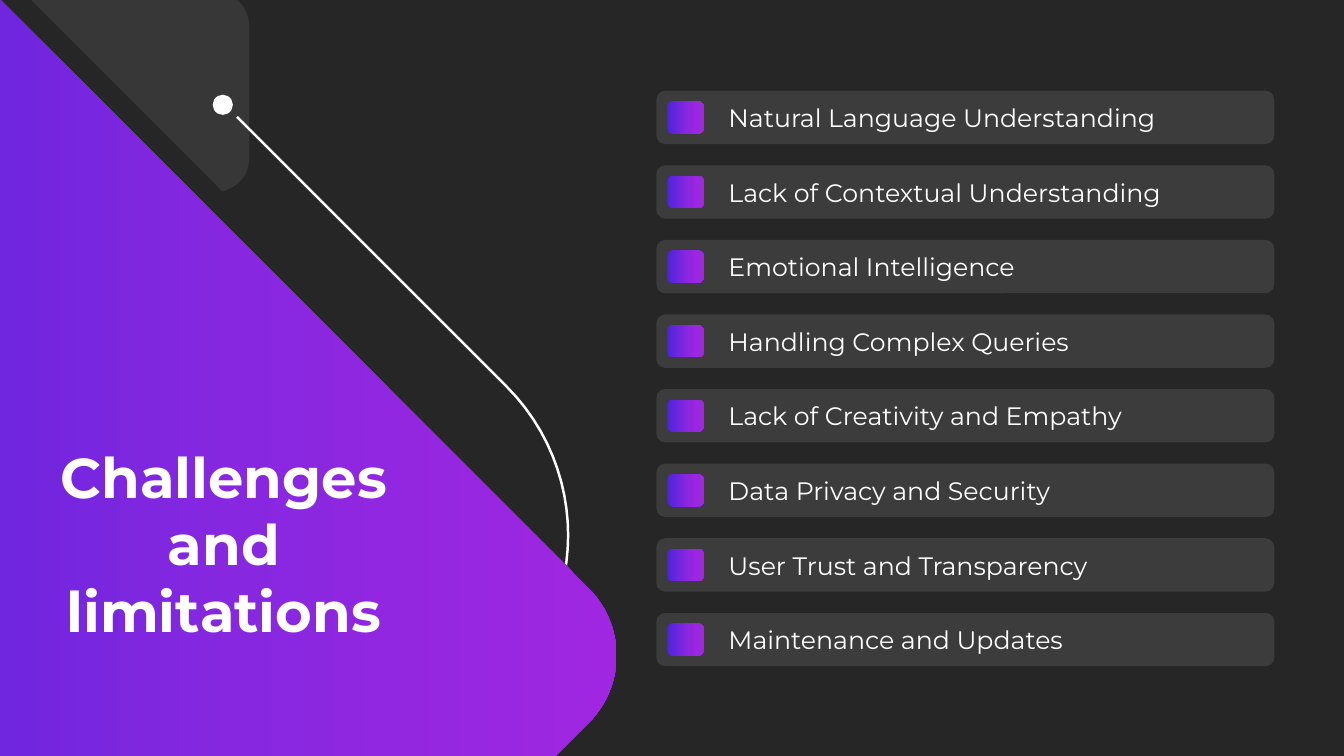
from lxml import etree
from pptx import Presentation
from pptx.dml.color import RGBColor
from pptx.enum import shapes, text
from pptx.oxml.ns import qn
from pptx.util import Inches, Pt

TITLE = "Challenges and limitations"
CHALLENGES = [
    "Natural Language Understanding",
    "Lack of Contextual Understanding",
    "Emotional Intelligence",
    "Handling Complex Queries",
    "Lack of Creativity and Empathy",
    "Data Privacy and Security",
    "User Trust and Transparency",
    "Maintenance and Updates",
]
THEME = {
    "font": "Montserrat", "title": 40, "item": 18,
    "background": "262626", "light": "FFFFFF",
    "wedge": [(0, "6F26DE"), (39, "8827E0"), (100, "A027E1")],
    "chip": [(0, "4826DC"), (3, "4D26DC"), (32, "7226DE"),
             (58, "8D27E0"), (82, "9D27E1"), (100, "A327E1")],
}

# Outlines in inches: a pair is a corner, three pairs are a cubic curve.
ARC = [(2.35, 1.16), (5.02, 3.83), ((5.84, 4.65), (5.84, 5.97), (5.02, 6.79)), (4.5, 7.3)]
WEDGE = [(-0.01, -0.02), (-0.01, 7.51), (5.5, 7.51), (5.83, 7.18),
         ((6.21, 6.81), (6.21, 6.2), (5.83, 5.83))]
PANEL = [(0.23, -0.08), (2.21, 1.9), (2.26, 1.88),
         ((2.38, 1.83), (2.47, 1.72), (2.47, 1.58)), (2.47, 0.25),
         ((2.47, 0.07), (2.32, -0.08), (2.14, -0.08))]

BAR_LEFT, BAR_TOP, BAR_W, BAR_H, BAR_STEP = 6.51, 0.9, 6.13, 0.53, 0.74
CHIP_W, CHIP_H, CHIP_INSET = 0.36, 0.32, 0.11
TEXT_INSET = 0.69
CURVE_STEPS = 24


def flatten(outline):
    """Turn corners and cubic curves into one list of points."""
    points = [outline[0]]
    for part in outline[1:]:
        if not isinstance(part[0], tuple):
            points.append(part)
            continue
        controls = (points[-1], *part)
        for i in range(1, CURVE_STEPS + 1):
            t = i / CURVE_STEPS
            weights = ((1 - t) ** 3, 3 * t * (1 - t) ** 2, 3 * t * t * (1 - t), t ** 3)
            points.append(tuple(sum(w * c[axis] for w, c in zip(weights, controls))
                                for axis in (0, 1)))
    return points


def add_outline(s, outline, close=True):
    points = [(Inches(x), Inches(y)) for x, y in flatten(outline)]
    builder = s.shapes.build_freeform(*points[0])
    builder.add_line_segments(points[1:], close=close)
    sp = builder.convert_to_shape()
    sp.shadow.inherit = False
    return sp


def add_preset(s, kind, left, top, width, height):
    sp = s.shapes.add_shape(kind, *map(Inches, (left, top, width, height)))
    sp.shadow.inherit = False
    return sp


def fill_solid(sp, opacity=100):
    sp.line.fill.background()
    sp.fill.solid()
    sp.fill.fore_color.rgb = RGBColor.from_string(THEME["light"])
    if opacity < 100:
        color = sp.element.spPr.find(qn("a:solidFill")).find(qn("a:srgbClr"))
        etree.SubElement(color, qn("a:alpha"), val=str(opacity * 1000))


def fill_gradient(sp, stops):
    sp.line.fill.background()
    sp.fill.gradient()
    sp.fill.gradient_angle = 0
    stop_list = sp.element.spPr.find(qn("a:gradFill")).find(qn("a:gsLst"))
    for old in list(stop_list):
        stop_list.remove(old)
    for position, color in stops:
        stop = etree.SubElement(stop_list, qn("a:gs"), pos=str(position * 1000))
        etree.SubElement(stop, qn("a:srgbClr"), val=color)


def set_text(sp, content, size, align, anchor, bold=False):
    tf = sp.text_frame
    tf.text = content
    tf.word_wrap = True
    tf.auto_size = text.MSO_AUTO_SIZE.NONE
    tf.vertical_anchor = anchor
    p = tf.paragraphs[0]
    p.alignment = align
    font = p.runs[0].font
    font.name, font.size, font.bold = THEME["font"], Pt(size), bold
    font.color.rgb = RGBColor.from_string(THEME["light"])


def add_title(s):
    title = s.shapes.title
    title.left, title.top = Inches(0.23), Inches(4.34)
    title.width, title.height = Inches(3.98), Inches(2.06)
    set_text(title, TITLE, THEME["title"], text.PP_ALIGN.CENTER,
             text.MSO_ANCHOR.TOP, bold=True)
    title.element.getparent().append(title.element)  # bring in front of the wedge


def add_challenge(s, row, label):
    top = BAR_TOP + row * BAR_STEP
    bar = add_preset(s, shapes.MSO_SHAPE.ROUNDED_RECTANGLE, BAR_LEFT, top, BAR_W, BAR_H)
    fill_solid(bar, opacity=10)
    set_text(bar, label, THEME["item"], text.PP_ALIGN.LEFT, text.MSO_ANCHOR.MIDDLE)
    bar.text_frame.margin_left = Inches(TEXT_INSET)
    chip = add_preset(s, shapes.MSO_SHAPE.ROUNDED_RECTANGLE, BAR_LEFT + CHIP_INSET,
                      top + (BAR_H - CHIP_H) / 2, CHIP_W, CHIP_H)
    fill_gradient(chip, THEME["chip"])


def main():
    prs = Presentation()
    prs.slide_width, prs.slide_height = Inches(13.33), Inches(7.5)
    s = prs.slides.add_slide(prs.slide_layouts[5])
    s.background.fill.solid()
    s.background.fill.fore_color.rgb = RGBColor.from_string(THEME["background"])

    arc = add_outline(s, ARC, close=False)
    arc.fill.background()
    arc.line.color.rgb = RGBColor.from_string(THEME["light"])
    arc.line.width = Pt(1.75)
    fill_solid(add_preset(s, shapes.MSO_SHAPE.OVAL, 2.11, 0.94, 0.2, 0.2))
    fill_gradient(add_outline(s, WEDGE), THEME["wedge"])
    add_title(s)
    for row, label in enumerate(CHALLENGES):
        add_challenge(s, row, label)
    fill_solid(add_outline(s, PANEL), opacity=8)
    prs.save("out.pptx")


if __name__ == "__main__":
    main()
